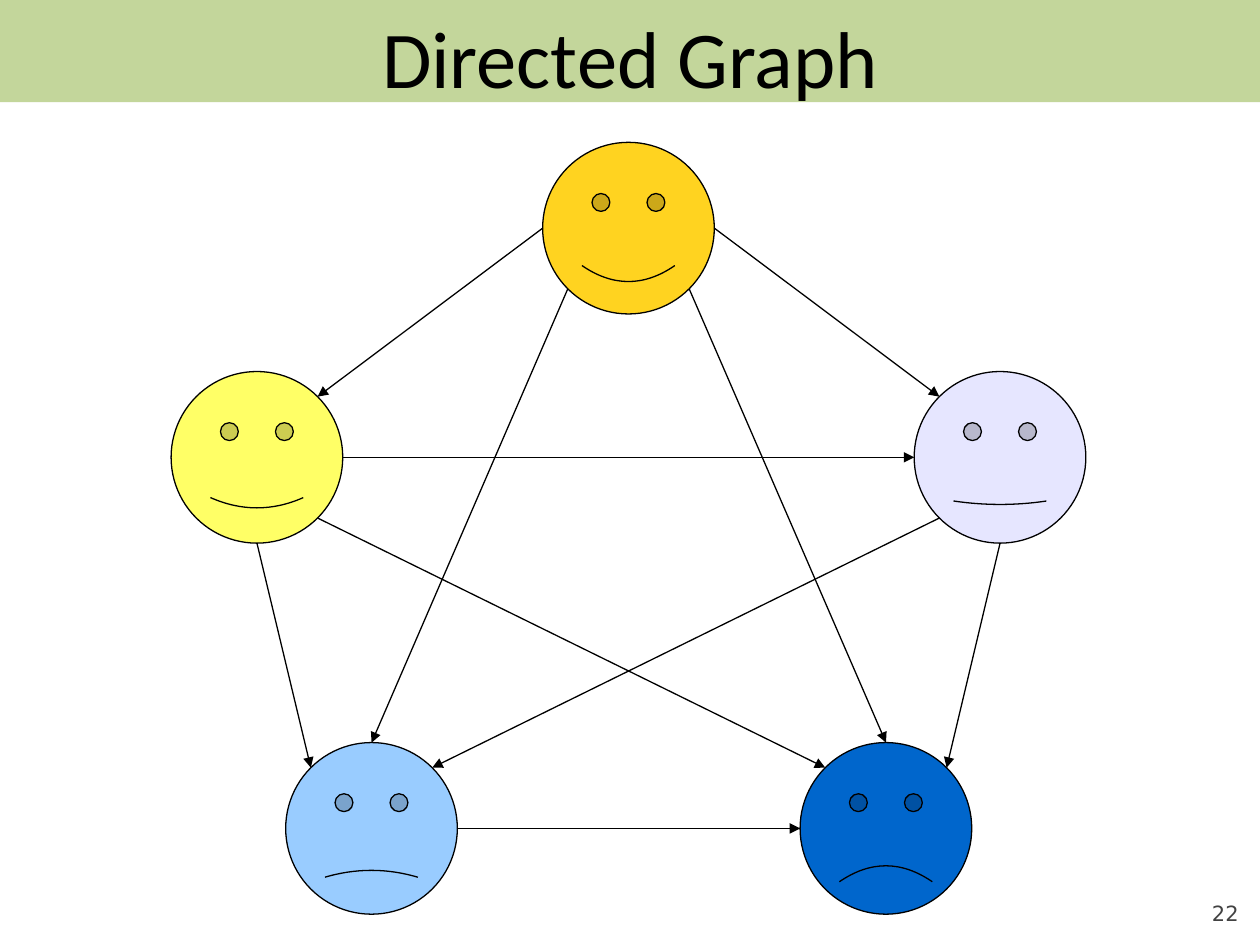
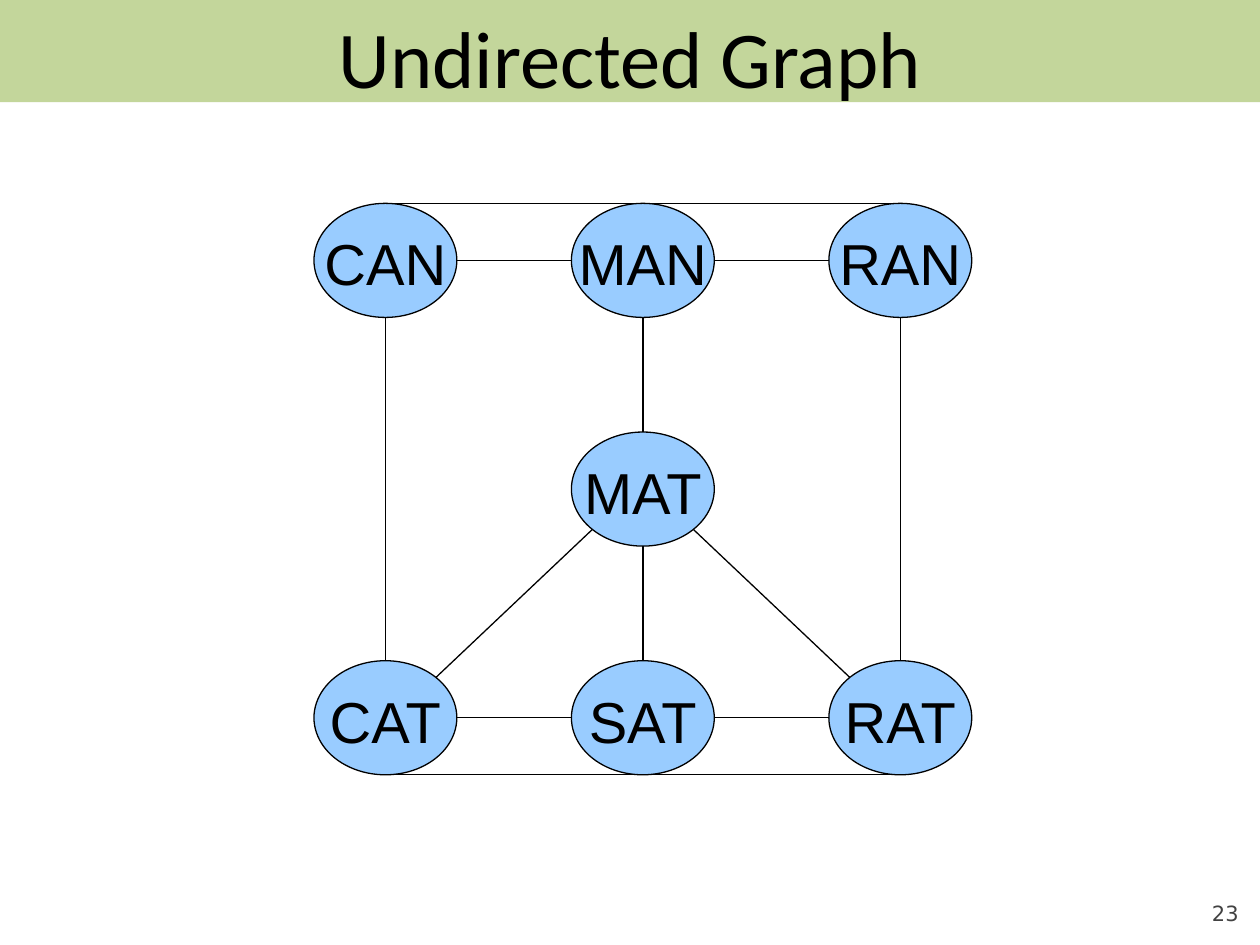
from dataclasses import dataclass
from math import sqrt

from lxml.etree import SubElement
from pptx import Presentation
from pptx.dml.color import RGBColor
from pptx.enum.shapes import MSO_CONNECTOR, MSO_SHAPE
from pptx.enum.text import MSO_ANCHOR, PP_ALIGN
from pptx.oxml.ns import qn
from pptx.util import Cm, Pt

# Faces: name -> (centre x, centre y, smile, fill)
FACES = {
    "happy": (12.67, 4.6, 0.05, "FFD320"),
    "glad": (5.18, 9.22, 0.03, "FFFF66"),
    "calm": (20.16, 9.22, 0.01, "E6E6FF"),
    "down": (7.49, 16.7, -0.02, "99CCFF"),
    "sad": (17.86, 16.7, -0.05, "0066CC"),
}
FACE_SIZE = (3.46, 3.46)
ARROWS = [
    ("happy", "W", "glad", "NE"), ("happy", "E", "calm", "NW"),
    ("happy", "SW", "down", "N"), ("happy", "SE", "sad", "N"),
    ("glad", "E", "calm", "W"), ("glad", "S", "down", "NW"),
    ("glad", "SE", "sad", "NW"), ("calm", "S", "sad", "NE"),
    ("calm", "SW", "down", "NE"), ("down", "E", "sad", "W"),
]

WORDS = [
    ["CAN", "MAN", "RAN"],
    [None, "MAT", None],
    ["CAT", "SAT", "RAT"],
]
WORD_SIZE = (2.88, 2.3)
WORD_START = (7.77, 5.25)
WORD_STEP = (5.19, 4.61)
EDGES = [
    ("CAN", "N", "RAN", "N"), ("CAN", "E", "MAN", "W"),
    ("MAN", "E", "RAN", "W"), ("CAN", "S", "CAT", "N"),
    ("MAN", "S", "MAT", "N"), ("RAN", "S", "RAT", "N"),
    ("MAT", "SW", "CAT", "NE"), ("MAT", "S", "SAT", "N"),
    ("MAT", "SE", "RAT", "NW"), ("CAT", "E", "SAT", "W"),
    ("SAT", "E", "RAT", "W"), ("CAT", "S", "RAT", "S"),
]

DIAG = sqrt(0.5)
SITES = {
    "N": (0, -1), "S": (0, 1), "W": (-1, 0), "E": (1, 0),
    "NW": (-DIAG, -DIAG), "NE": (DIAG, -DIAG),
    "SW": (-DIAG, DIAG), "SE": (DIAG, DIAG),
}


@dataclass(frozen=True)
class Theme:
    band: str = "C3D69B"
    node: str = "99CCFF"
    ink: str = "000000"
    gray: str = "424242"
    head_font: str = "Calibri"
    node_font: str = "Arial"
    page_font: str = "DejaVu Sans"
    head_size: int = 46
    node_size: int = 33
    page_size: int = 12
    stroke: float = 0.75


THEME = Theme()


def paint(color):
    return RGBColor.from_string(color)


def write(shape, text, *, font, size, color=THEME.ink, align=PP_ALIGN.CENTER,
          anchor=MSO_ANCHOR.TOP, inset=(0, 0, 0, 0), wrap=True):
    """Fill a shape with one line of text; inset is left, top, right, bottom."""
    frame = shape.text_frame
    frame.word_wrap = wrap
    frame.vertical_anchor = anchor
    (frame.margin_left, frame.margin_top,
     frame.margin_right, frame.margin_bottom) = map(Cm, inset)
    line = frame.paragraphs[0]
    line.alignment = align
    run = line.add_run()
    run.text = text
    run.font.name = font
    run.font.size = Pt(size)
    run.font.color.rgb = paint(color)


def add_form(slide, kind, box, fill, outline=True):
    form = slide.shapes.add_shape(kind, *map(Cm, box))
    form.shadow.inherit = False
    form.fill.solid()
    form.fill.fore_color.rgb = paint(fill)
    if outline:
        form.line.color.rgb = paint(THEME.ink)
        form.line.width = Pt(THEME.stroke)
    else:
        form.line.fill.background()
    return form


def add_node(slide, kind, center, size, fill):
    (x, y), (wide, high) = center, size
    return add_form(slide, kind, (x - wide / 2, y - high / 2, wide, high), fill)


def find_site(center, size, site):
    """Return the point on an ellipse at a compass site."""
    return [mid + span / 2 * step
            for mid, span, step in zip(center, size, SITES[site])]


def link_nodes(slide, links, centers, size, arrow=False):
    for start, leave, end, enter in links:
        points = (find_site(centers[start], size, leave)
                  + find_site(centers[end], size, enter))
        link = slide.shapes.add_connector(MSO_CONNECTOR.STRAIGHT, *map(Cm, points))
        link.line.color.rgb = paint(THEME.ink)
        link.line.width = Pt(THEME.stroke)
        if arrow:
            SubElement(link.line._get_or_add_ln(), qn("a:tailEnd"), type="triangle")
        SubElement(link._element.spPr, qn("a:effectLst"))


def add_slide(deck, title, page):
    """Add a blank slide with band, title and page number."""
    slide = deck.slides.add_slide(deck.slide_layouts[6])
    add_form(slide, MSO_SHAPE.RECTANGLE, (0, 0, 25.4, 2.06), THEME.band, outline=False)
    head = slide.shapes.add_textbox(Cm(1.27), Cm(0), Cm(22.86), Cm(1.9))
    write(head, title, font=THEME.head_font, size=THEME.head_size,
          inset=(0.25, 0.17, 0.25, 0.13))
    foot = slide.shapes.add_textbox(Cm(22.86), Cm(17.65), Cm(2.11), Cm(1.02))
    write(foot, str(page), font=THEME.page_font, size=THEME.page_size,
          color=THEME.gray, align=PP_ALIGN.RIGHT, anchor=MSO_ANCHOR.BOTTOM)
    return slide


def draw_faces(deck):
    slide = add_slide(deck, "Directed Graph", 22)
    centers = {}
    for name, (x, y, smile, fill) in FACES.items():
        centers[name] = (x, y)
        face = add_node(slide, MSO_SHAPE.SMILEY_FACE, (x, y), FACE_SIZE, fill)
        face.adjustments[0] = smile
    link_nodes(slide, ARROWS, centers, FACE_SIZE, arrow=True)


def draw_words(deck):
    slide = add_slide(deck, "Undirected Graph", 23)
    centers = {}
    for row, words in enumerate(WORDS):
        for col, word in enumerate(words):
            if word is None:
                continue
            center = [start + step * index for start, step, index
                      in zip(WORD_START, WORD_STEP, (col, row))]
            centers[word] = center
            node = add_node(slide, MSO_SHAPE.OVAL, center, WORD_SIZE, THEME.node)
            write(node, word, font=THEME.node_font, size=THEME.node_size,
                  anchor=MSO_ANCHOR.MIDDLE, inset=(0.23, 0.2, 0.23, 0.1), wrap=False)
    link_nodes(slide, EDGES, centers, WORD_SIZE)


def main():
    deck = Presentation()
    deck.slide_width, deck.slide_height = Cm(25.4), Cm(19.05)
    draw_faces(deck)
    draw_words(deck)
    deck.save("out.pptx")


if __name__ == "__main__":
    main()
